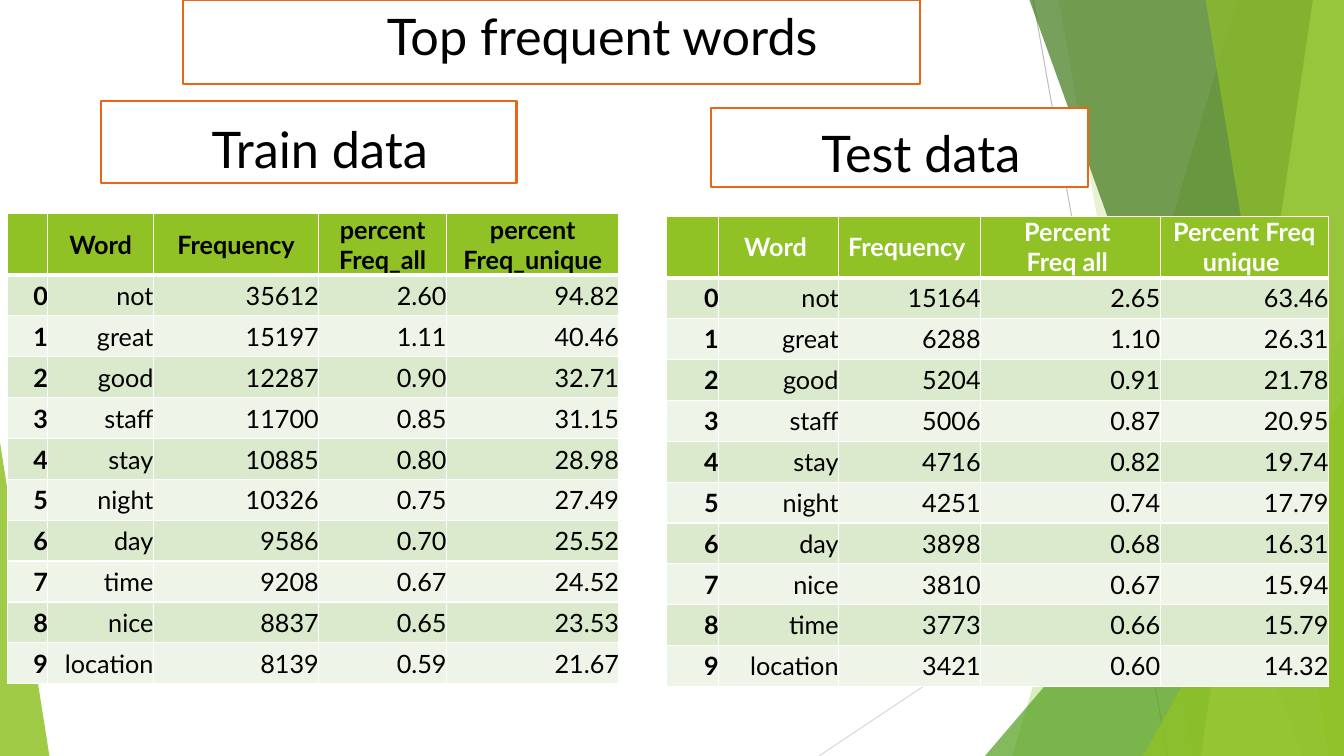
from lxml.etree import SubElement
from pptx import Presentation
from pptx.dml.color import RGBColor
from pptx.enum.shapes import MSO_CONNECTOR, MSO_SHAPE
from pptx.enum.text import MSO_ANCHOR, PP_ALIGN
from pptx.oxml.ns import qn
from pptx.util import Pt

GREEN = "90C226"
STRIPES = ("DBE9CD", "EEF4E8")
WIDTH, HEIGHT = 960, 540
HEADER_HEIGHT, ROW_HEIGHT = 44, 29.2

WORDS_TRAIN = [
    ("not", "35612", "2.60", "94.82"),
    ("great", "15197", "1.11", "40.46"),
    ("good", "12287", "0.90", "32.71"),
    ("staff", "11700", "0.85", "31.15"),
    ("stay", "10885", "0.80", "28.98"),
    ("night", "10326", "0.75", "27.49"),
    ("day", "9586", "0.70", "25.52"),
    ("time", "9208", "0.67", "24.52"),
    ("nice", "8837", "0.65", "23.53"),
    ("location", "8139", "0.59", "21.67"),
]
WORDS_TEST = [
    ("not", "15164", "2.65", "63.46"),
    ("great", "6288", "1.10", "26.31"),
    ("good", "5204", "0.91", "21.78"),
    ("staff", "5006", "0.87", "20.95"),
    ("stay", "4716", "0.82", "19.74"),
    ("night", "4251", "0.74", "17.79"),
    ("day", "3898", "0.68", "16.31"),
    ("nice", "3810", "0.67", "15.94"),
    ("time", "3773", "0.66", "15.79"),
    ("location", "3421", "0.60", "14.32"),
]


def rgb(value):
    return RGBColor.from_string(value)


class SlideBuilder:
    font_name = "Lato"
    outline = "E76618"

    def __init__(self, slide):
        self.slide = slide
        self.shapes = slide.shapes

    def paint(self, shape, color, opacity=100):
        shape.shadow.inherit = False
        shape.line.fill.background()
        shape.fill.solid()
        shape.fill.fore_color.rgb = rgb(color)
        if opacity < 100:
            solid = shape.fill._xPr.find(qn("a:solidFill"))
            SubElement(solid[0], qn("a:alpha")).set("val", str(opacity * 1000))

    def line(self, x1, y1, x2, y2, color):
        line = self.shapes.add_connector(
            MSO_CONNECTOR.STRAIGHT, Pt(x1), Pt(y1), Pt(x2), Pt(y2))
        line.line.color.rgb = rgb(color)
        line.line.width = Pt(0.75)
        SubElement(line._element.spPr, qn("a:effectLst"))

    def shard(self, top_left, bottom_left, color, opacity):
        """Full-height facet reaching to the right edge of the slide."""
        builder = self.shapes.build_freeform(top_left, -0.6, scale=Pt(1))
        builder.add_line_segments(
            [(WIDTH, -0.6), (WIDTH, HEIGHT), (bottom_left, HEIGHT)], close=True)
        self.paint(builder.convert_to_shape(), color, opacity)

    def corner(self, left, top, width, apex, color, opacity):
        """Triangle standing on the bottom edge of the slide."""
        triangle = self.shapes.add_shape(
            MSO_SHAPE.ISOSCELES_TRIANGLE,
            Pt(left), Pt(top), Pt(width), Pt(HEIGHT - top))
        triangle.adjustments[0] = apex
        self.paint(triangle, color, opacity)

    def style_text(self, frame, align, size, color="000000", bold=False):
        for paragraph in frame.paragraphs:
            paragraph.alignment = align
            for run in paragraph.runs:
                run.font.name = self.font_name
                run.font.size = Pt(size)
                run.font.bold = bold
                run.font.color.rgb = rgb(color)

    def heading(self, text, left, top, width, height, align, anchor):
        box = self.shapes.add_shape(
            MSO_SHAPE.RECTANGLE, Pt(left), Pt(top), Pt(width), Pt(height))
        self.paint(box, "FFFFFF")
        box.line.color.rgb = rgb(self.outline)
        box.line.width = Pt(1.5)
        frame = box.text_frame
        frame.word_wrap = True
        frame.margin_left = Pt(79.2)
        frame.vertical_anchor = anchor
        frame.text = text
        self.style_text(frame, align, 36)

    def cell_borders(self, cell, bottom):
        properties = cell._tc.get_or_add_tcPr()
        for side, width in (("L", 1), ("R", 1), ("T", 1), ("B", bottom)):
            edge = SubElement(properties, qn("a:ln" + side), w=str(Pt(width)))
            solid = SubElement(edge, qn("a:solidFill"))
            SubElement(solid, qn("a:srgbClr"), val="FFFFFF")

    def frequency_table(self, left, top, widths, headers, words,
                        header_color, margin_top):
        rows = [("", *headers)]
        rows += [(str(rank), *row) for rank, row in enumerate(words)]
        height = HEADER_HEIGHT + ROW_HEIGHT * len(words)
        table = self.shapes.add_table(
            len(rows), len(widths), Pt(left), Pt(top),
            Pt(sum(widths)), Pt(height)).table
        for column, width in zip(table.columns, widths):
            column.width = Pt(width)
        for r, row in enumerate(rows):
            is_header = r == 0
            table.rows[r].height = Pt(HEADER_HEIGHT if is_header else ROW_HEIGHT)
            for c, text in enumerate(row):
                cell = table.cell(r, c)
                self.cell_borders(cell, 3 if is_header else 1)
                cell.fill.solid()
                cell.fill.fore_color.rgb = rgb(
                    GREEN if is_header else STRIPES[(r - 1) % 2])
                cell.margin_left = cell.margin_right = cell.margin_bottom = 0
                cell.margin_top = Pt(margin_top)
                cell.vertical_anchor = MSO_ANCHOR.MIDDLE
                cell.text_frame.text = text
                self.style_text(
                    cell.text_frame,
                    PP_ALIGN.CENTER if is_header else PP_ALIGN.RIGHT, 18,
                    header_color if is_header else "000000",
                    is_header or c == 0)


def main():
    presentation = Presentation()
    presentation.slide_width = Pt(WIDTH)
    presentation.slide_height = Pt(HEIGHT)
    builder = SlideBuilder(
        presentation.slides.add_slide(presentation.slide_layouts[6]))

    builder.line(738, 0, 834, HEIGHT, "BFBFBF")
    builder.line(WIDTH, 290, 585, HEIGHT, "D9D9D9")
    builder.shard(884, 723, GREEN, 30)
    builder.shard(756, 852, GREEN, 20)
    builder.corner(703.5, 240, 256.5, 1, "54A021", 72)
    builder.shard(735, 929.5, "3F7819", 70)
    builder.shard(938, 858, "C0E474", 70)
    builder.shard(861, 949, GREEN, 65)
    builder.corner(816.5, 283, 143.5, 1, GREEN, 80)
    builder.corner(0, 316, 35.3, 0, GREEN, 85)

    builder.heading("Train data", 72, 72, 297, 59,
                    PP_ALIGN.LEFT, MSO_ANCHOR.BOTTOM)
    builder.frequency_table(
        5.4, 152.4, (28.8, 75.4, 118.1, 91.3, 123.2),
        ("Word", "Frequency", "percent Freq_all", "percent Freq_unique"),
        WORDS_TRAIN, "000000", 0.7)
    builder.heading("Test data", 507.6, 77, 269.3, 56.7,
                    PP_ALIGN.LEFT, MSO_ANCHOR.BOTTOM)
    builder.frequency_table(
        475.9, 154.4, (37.4, 85.7, 101.5, 128.2, 120.2),
        ("Word ", "Frequency ", "Percent \nFreq all ", "Percent Freq unique "),
        WORDS_TEST, "FFFFFF", 0)
    builder.heading("Top frequent words", 131, 0, 526.3, 60.2,
                    PP_ALIGN.CENTER, MSO_ANCHOR.TOP)

    presentation.save("out.pptx")


if __name__ == "__main__":
    main()
